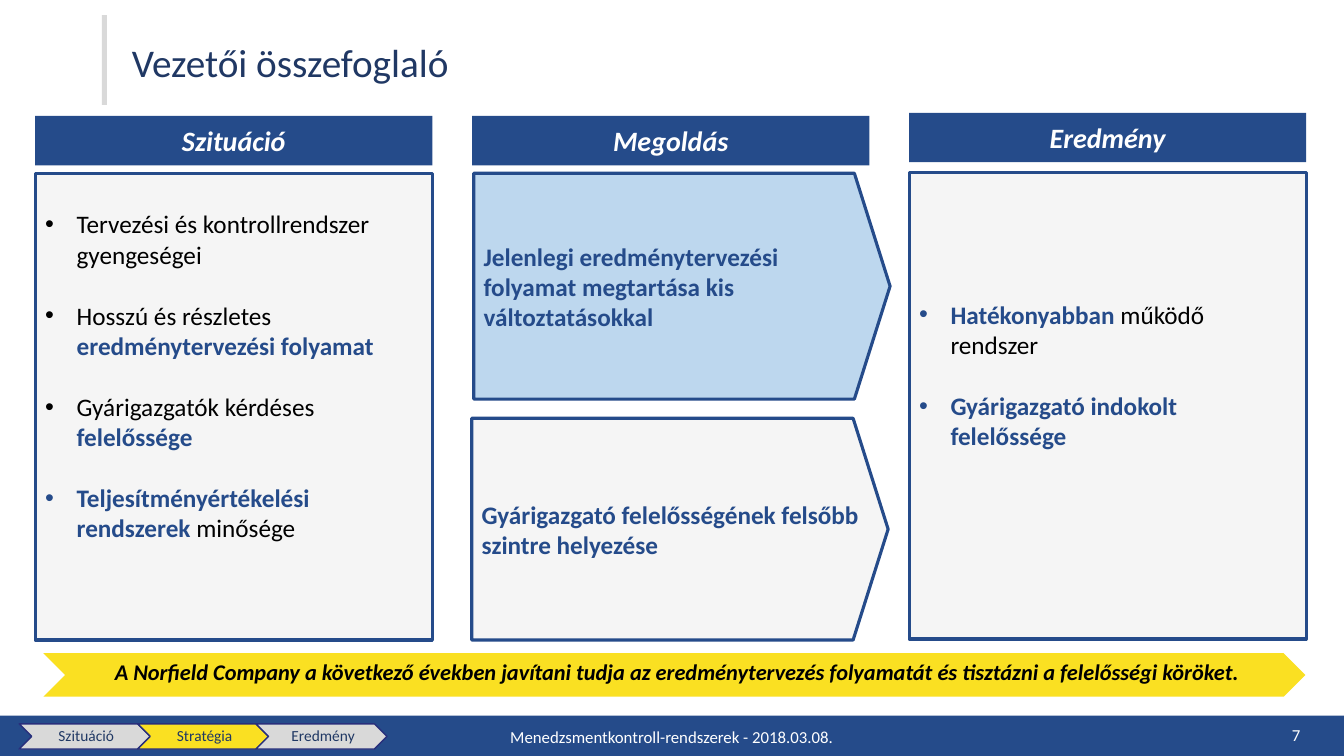
from lxml import etree
from pptx import Presentation
from pptx.dml.color import RGBColor
from pptx.enum.shapes import MSO_SHAPE
from pptx.enum.text import MSO_ANCHOR, PP_ALIGN
from pptx.oxml.ns import qn
from pptx.util import Pt

RECT, CHEVRON, PENTAGON = MSO_SHAPE.RECTANGLE, MSO_SHAPE.CHEVRON, MSO_SHAPE.PENTAGON
TOP, MIDDLE = MSO_ANCHOR.TOP, MSO_ANCHOR.MIDDLE
LEFT, CENTER, RIGHT, JUST = PP_ALIGN.LEFT, PP_ALIGN.CENTER, PP_ALIGN.RIGHT, PP_ALIGN.JUSTIFY

BLUE = RGBColor(0x25, 0x4B, 0x8A)
NAVY = RGBColor(0x20, 0x38, 0x64)
EDGE = RGBColor(0x28, 0x2F, 0x7C)
SKY = RGBColor(0xBD, 0xD7, 0xEE)
GRAY = RGBColor(0xD9, 0xD9, 0xD9)
PALE = RGBColor(0xF5, 0xF5, 0xF5)
GOLD = RGBColor(0xFA, 0xE0, 0x22)
WHITE = RGBColor(0xFF, 0xFF, 0xFF)
BLACK = RGBColor(0, 0, 0)

# Formats of text runs
HEAD = {"size": Pt(20), "bold": True, "italic": True, "color": WHITE}
BODY = {"size": Pt(18), "bold": False, "color": BLACK}
KEY = {"size": Pt(18), "bold": True, "color": BLUE}
CLAIM = {"size": Pt(16), "bold": True, "italic": True, "color": BLACK}
TITLE = {"size": Pt(28), "color": NAVY}
STEP = {"size": Pt(11), "color": NAVY}
FOOT = {"size": Pt(12), "color": WHITE}

# Content
title = "Vezetői összefoglaló"
heads = [("Szituáció", 82.8), ("Megoldás", 82.8), ("Eredmény", 80.6)]
issues = [
    [("Tervezési és kontrollrendszer gyengeségei", BODY)],
    [("Hosszú és részletes ", BODY), ("eredménytervezési folyamat", KEY)],
    [("Gyárigazgatók kérdéses ", BODY), ("felelőssége", KEY)],
    [("Teljesítményértékelési rendszerek ", KEY), ("minősége", BODY)],
]
gains = [
    [("Hatékonyabban", KEY), (" működő rendszer", BODY)],
    [("Gyárigazgató indokolt felelőssége", KEY)],
]
plans = [
    ("Jelenlegi eredménytervezési folyamat megtartása kis változtatásokkal",
     (338.4, 123.8, 297.4, 161.3), SKY),
    ("Gyárigazgató felelősségének felsőbb szintre helyezése",
     (337, 298.8, 297.4, 158.4), PALE),
]
claim = ("A Norfield Company a következő években javítani tudja az "
         "eredménytervezés folyamatát és tisztázni a felelősségi köröket.")
steps = [("Szituáció", GRAY), ("Stratégia", GOLD), ("Eredmény", GRAY)]
footer = "Menedzsmentkontroll-rendszerek - 2018.03.08."
page = "7"

deck = Presentation()
deck.slide_width, deck.slide_height = Pt(960), Pt(540)
slide = deck.slides.add_slide(deck.slide_layouts[6])


def draw(kind, box, fill, edge=None, width=2.25):
    shape = slide.shapes.add_shape(kind, *map(Pt, box))
    shape.shadow.inherit = False
    shape.fill.solid()
    shape.fill.fore_color.rgb = fill
    if edge is None:
        shape.line.fill.background()
    else:
        shape.line.color.rgb = edge
        shape.line.width = Pt(width)
    return shape


def write(shape, paras, align=LEFT, anchor=MIDDLE, pads=(7.2, 3.6, 7.2, 3.6),
          space=None, bullet=False):
    frame = shape.text_frame
    frame.word_wrap = True
    frame.vertical_anchor = anchor
    for side, pad in zip(("left", "top", "right", "bottom"), pads):
        setattr(frame, "margin_" + side, Pt(pad))
    for i, runs in enumerate(paras):
        para = frame.add_paragraph() if i else frame.paragraphs[0]
        para.alignment = align
        para.line_spacing = space
        if bullet:
            para.space_before = Pt(22 if i else 0)
            props = para._p.get_or_add_pPr()
            props.set("marL", str(Pt(22.5)))
            props.set("indent", str(-Pt(22.5)))
            etree.SubElement(props, qn("a:buFont")).set("typeface", "Arial")
            etree.SubElement(props, qn("a:buChar")).set("char", "•")
        for text, form in runs:
            run = para.add_run()
            run.text = text
            run.font.name = "Calibri"
            for name, value in form.items():
                if name == "color":
                    run.font.color.rgb = value
                else:
                    setattr(run.font, name, value)


def label(box, text, form, **opts):
    write(slide.shapes.add_textbox(*map(Pt, box)), [[(text, form)]], **opts)


# Title and footer bands
draw(RECT, (0, 511.2, 960, 28.8), BLUE)
draw(RECT, (72.7, 10.8, 3.6, 64.1), GRAY)
label((87.1, 14.4, 840.2, 64.1), title, TITLE, align=JUST, space=0.9)

# Progress steps
for i, (text, fill) in enumerate(steps):
    x = 13.7 + 84.6 * i
    draw(CHEVRON, (x, 517, 93.6, 18), fill, EDGE, 1)
    label((x + 9, 517, 75.6, 18), text, STEP, align=CENTER, space=0.9,
          pads=(3.6, 1.4, 1.4, 1.4))

# Column heads
COLS = [25.2 + 312.1 * i for i in range(3)]
WIDE = 283.7
for x, (text, y) in zip(COLS, heads):
    write(draw(RECT, (x, y, WIDE, 35.3), BLUE), [[(text, HEAD)]],
          align=CENTER, pads=(0, 0, 0, 0))

# Bullet boxes, with the text raised above the middle
for x, y, paras in ((COLS[0], 123.8, issues), (COLS[2], 123.1, gains)):
    write(draw(RECT, (x, y, WIDE, 333.4), PALE, BLUE), paras,
          pads=(7.2, 3.6, 7.2, 47.6), bullet=True)

# Solution arrows
for text, box, fill in plans:
    arrow = draw(PENTAGON, box, fill, BLUE)
    arrow.adjustments[0] = 0.158
    write(arrow, [[(text, KEY)]])

# Conclusion banner
draw(CHEVRON, (31, 466.6, 901.4, 31), GOLD)
label((36.7, 466.6, 894.2, 26.6), claim, CLAIM, align=CENTER, anchor=TOP)

# Footer text
label((276.5, 511.9, 406.8, 28.8), footer, FOOT, align=CENTER)
label((720, 510.5, 216, 28.8), page, FOOT, align=RIGHT)

deck.save("out.pptx")
